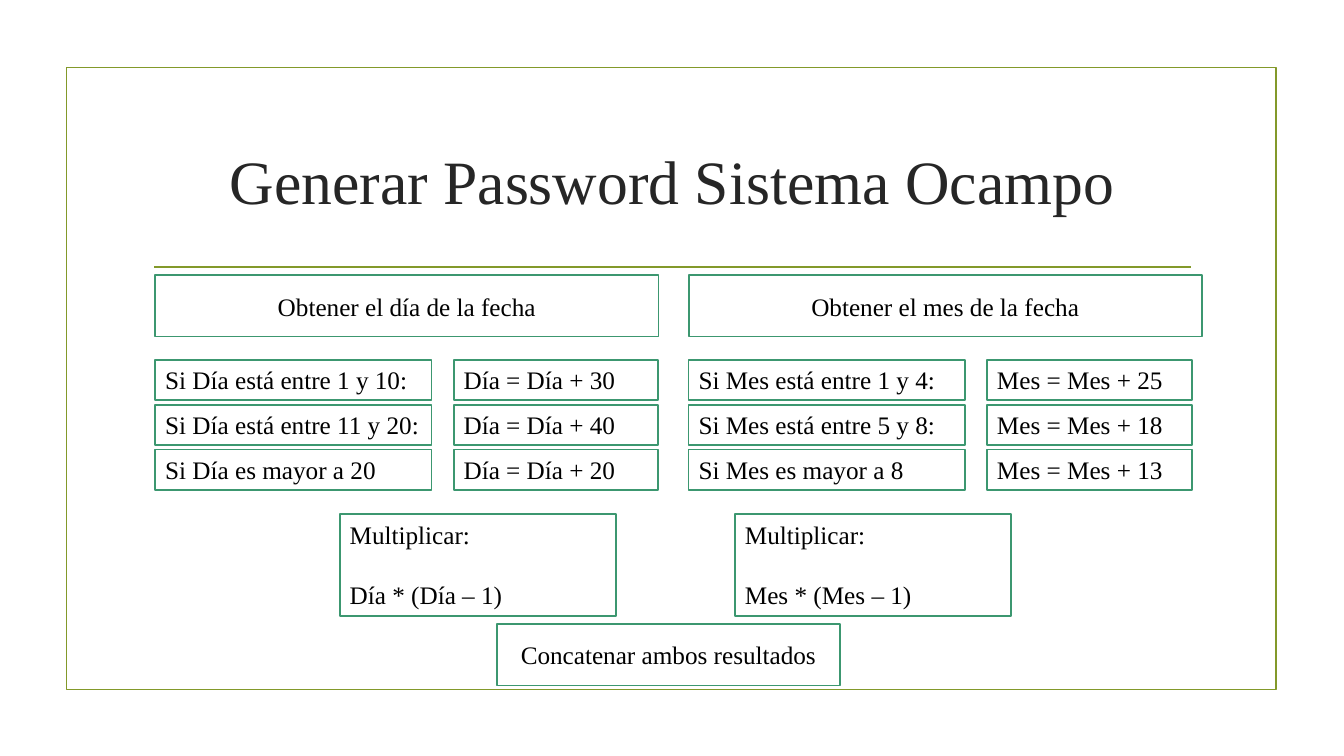
import pptx
import pptx.util
import pptx.dml.color
import pptx.enum.shapes
import pptx.enum.text
import pptx.oxml.ns
from lxml import etree
from pptx.util import Inches

FONT = "Times New Roman"
OLIVE = "83992A"
GREEN = "3C9770"
ANCHOR = pptx.enum.text.MSO_ANCHOR
ALIGN = pptx.enum.text.PP_ALIGN

COLUMNS = [
    (1.54, 4.99, "Obtener el día de la fecha", [
        ("Si Día está entre 1 y 10:", "Día = Día + 30"),
        ("Si Día está entre 11 y 20:", "Día = Día + 40"),
        ("Si Día es mayor a 20", "Día = Día + 20"),
    ], 3.37, "Día * (Día – 1)"),
    (6.83, 5.09, "Obtener el mes de la fecha", [
        ("Si Mes está entre 1 y 4:", "Mes = Mes + 25"),
        ("Si Mes está entre 5 y 8:", "Mes = Mes + 18"),
        ("Si Mes es mayor a 8", "Mes = Mes + 13"),
    ], 7.29, "Mes * (Mes – 1)"),
]


def color(value):
    return pptx.dml.color.RGBColor.from_string(value)


def write(shape, lines, size=18, ink="000000", centered=False, gap=0):
    frame = shape.text_frame
    frame.word_wrap = True
    frame.vertical_anchor = ANCHOR.MIDDLE if centered else ANCHOR.TOP
    for index, line in enumerate(lines):
        para = frame.paragraphs[0] if index == 0 else frame.add_paragraph()
        para.text = line
        para.alignment = ALIGN.CENTER if centered else ALIGN.LEFT
        para.font.name = FONT
        para.font.size = pptx.util.Pt(size)
        para.font.color.rgb = color(ink)
        if index:
            para.space_before = pptx.util.Pt(gap)


def add_box(page, left, top, width, height, outline=GREEN):
    box = page.shapes.add_shape(
        pptx.enum.shapes.MSO_SHAPE.RECTANGLE,
        Inches(left), Inches(top), Inches(width), Inches(height))
    box.shadow.inherit = False
    box.fill.solid()
    box.fill.fore_color.rgb = color("FFFFFF")
    box.line.color.rgb = color(outline)
    box.line.width = pptx.util.Pt(1.25)
    return box


def add_rule(page, left, right, top):
    rule = page.shapes.add_connector(
        pptx.enum.shapes.MSO_CONNECTOR.STRAIGHT,
        Inches(left), Inches(top), Inches(right), Inches(top))
    rule.line.color.rgb = color(OLIVE)
    rule.line.width = pptx.util.Pt(1.25)
    etree.SubElement(rule._element.spPr, pptx.oxml.ns.qn("a:effectLst"))


def add_title(page, text):
    title = page.shapes.add_textbox(
        Inches(1.42), Inches(1.07), Inches(10.5), Inches(1.43))
    write(title, [text], size=44, ink="262626", centered=True)


def add_column(page, left, width, heading, rules, product_left, product):
    write(add_box(page, left, 2.73, width, 0.61), [heading], centered=True)
    for row, (condition, result) in enumerate(rules):
        top = 3.57 + row * 0.445
        write(add_box(page, left, top, 2.74, 0.4), [condition])
        write(add_box(page, left + 2.96, top, 2.03, 0.4), [result])
    write(add_box(page, product_left, 5.1, 2.74, 1.01),
          ["Multiplicar:", product], gap=21.5)


def main():
    deck = pptx.Presentation()
    deck.slide_width = Inches(13.33)
    deck.slide_height = Inches(7.5)
    page = deck.slides.add_slide(deck.slide_layouts[6])
    add_box(page, 0.66, 0.67, 12, 6.17, outline=OLIVE)
    add_rule(page, 1.53, 11.81, 2.65)
    add_title(page, "Generar Password Sistema Ocampo")
    for column in COLUMNS:
        add_column(page, *column)
    write(add_box(page, 4.93, 6.19, 3.4, 0.61),
          ["Concatenar ambos resultados"], centered=True)
    deck.save("out.pptx")


if __name__ == "__main__":
    main()
